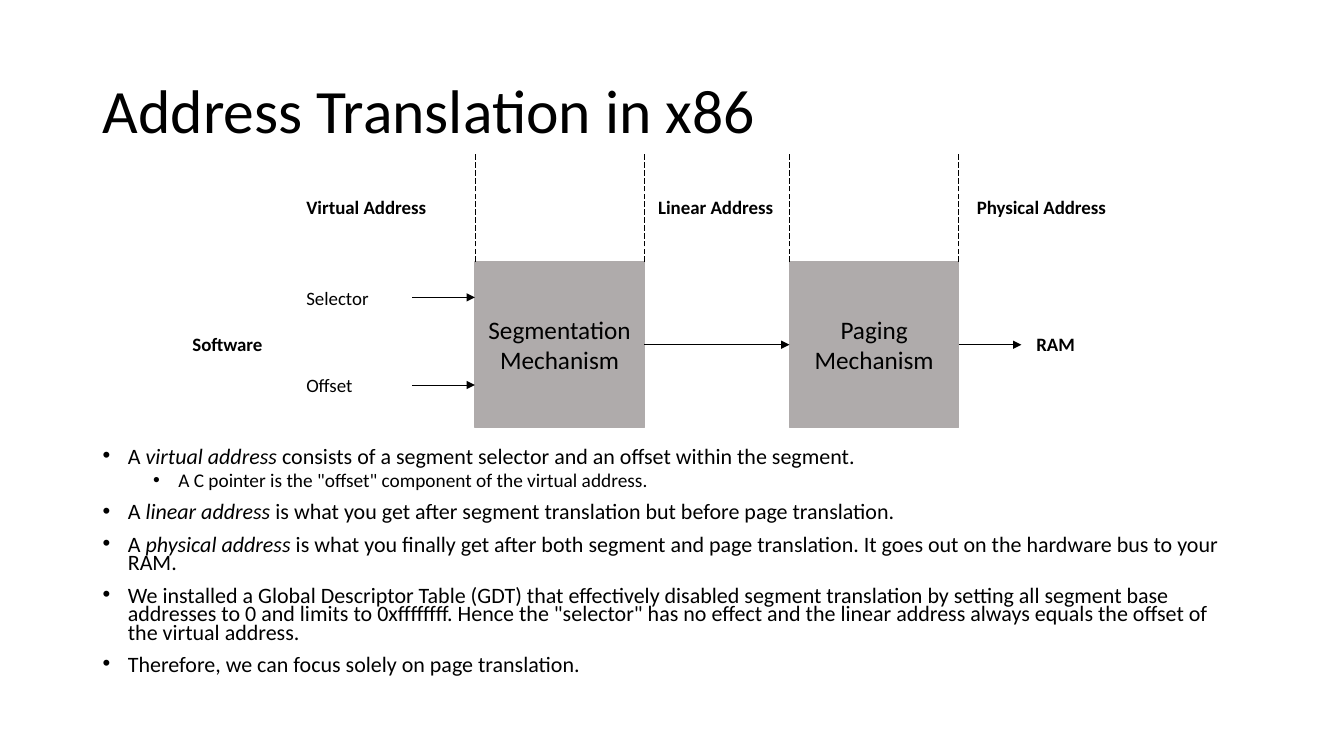
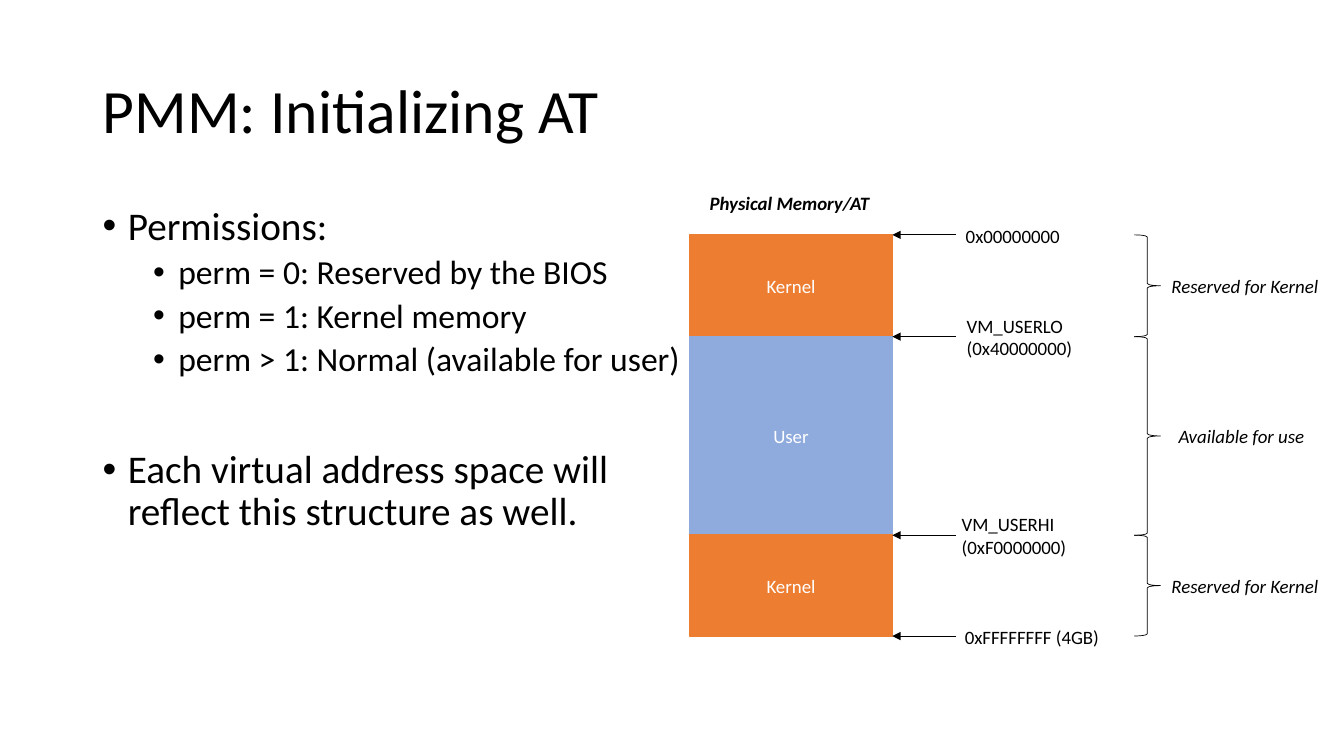
from pptx import Presentation
from pptx.dml.color import RGBColor
from pptx.enum.dml import MSO_LINE as Dash
from pptx.enum.shapes import MSO_CONNECTOR as Link, MSO_SHAPE as Preset
from pptx.enum.text import MSO_ANCHOR as Anchor, MSO_AUTO_SIZE as Fit, PP_ALIGN as Align
from pptx.oxml.ns import qn
from pptx.util import Inches, Pt
from lxml.etree import SubElement

FONT = "Calibri"
BLACK, WHITE = "000000", "FFFFFF"
GRAY, ORANGE, BLUE = "AFABAB", "ED7D31", "8FAADC"
LABEL_SIZE = 13.5
LINE_WIDTH = 0.5


def color(code):
    """Turn a hex string into a colour."""
    return RGBColor.from_string(code)


def inches(*lengths):
    """Convert several lengths to inches."""
    return [Inches(length) for length in lengths]


class Deck:
    """Holds the presentation, its style and the current slide."""

    def __init__(self):
        """Start a widescreen presentation."""
        self.prs = Presentation()
        self.prs.slide_width, self.prs.slide_height = inches(13.33, 7.5)
        self.slide = None

    def run(self, paragraph, text, size, ink=BLACK, bold=False, italic=False):
        """Add one formatted run."""
        run = paragraph.add_run()
        run.text = text
        font = run.font
        font.name, font.size, font.bold, font.italic = FONT, Pt(size), bold, italic
        font.color.rgb = color(ink)

    def new_slide(self, title):
        """Add a title-only slide and format its title."""
        self.slide = self.prs.slides.add_slide(self.prs.slide_layouts[5])
        heading = self.slide.shapes.title
        heading.left, heading.top, heading.width, heading.height = inches(0.92, 0.4, 11.5, 1.45)
        frame = heading.text_frame
        frame.word_wrap, frame.auto_size = True, Fit.NONE
        frame.vertical_anchor = Anchor.MIDDLE
        paragraph = frame.paragraphs[0]
        paragraph.alignment, paragraph.line_spacing = Align.LEFT, 0.9
        self.run(paragraph, title, 44)

    def label(self, text, left, top, width, height=0.33, wrap=True, **style):
        """Add a small text label."""
        box = self.slide.shapes.add_textbox(*inches(left, top, width, height))
        box.text_frame.word_wrap = wrap
        self.run(box.text_frame.paragraphs[0], text, LABEL_SIZE, **style)

    def block(self, lines, left, top, width, height, fill, size, ink):
        """Add a filled rectangle with centred lines of text."""
        block = self.slide.shapes.add_shape(Preset.RECTANGLE, *inches(left, top, width, height))
        block.shadow.inherit = False
        block.fill.solid()
        block.fill.fore_color.rgb = block.line.color.rgb = color(fill)
        block.line.width = Pt(1)
        frame = block.text_frame
        frame.word_wrap, frame.vertical_anchor = True, Anchor.MIDDLE
        for index, text in enumerate(lines):
            paragraph = frame.add_paragraph() if index else frame.paragraphs[0]
            paragraph.alignment = Align.CENTER
            self.run(paragraph, text, size, ink)

    def brace(self, left, top, width, height):
        """Add a right brace."""
        brace = self.slide.shapes.add_shape(Preset.RIGHT_BRACE, *inches(left, top, width, height))
        brace.shadow.inherit = False
        brace.fill.background()
        brace.line.color.rgb, brace.line.width = color(BLACK), Pt(LINE_WIDTH)

    def connect(self, x1, y1, x2, y2, dashed=False):
        """Add a dashed line, or a solid arrow."""
        link = self.slide.shapes.add_connector(Link.STRAIGHT, *inches(x1, y1, x2, y2))
        link.line.color.rgb, link.line.width = color(BLACK), Pt(LINE_WIDTH)
        if dashed:
            link.line.dash_style = Dash.LONG_DASH
        else:
            SubElement(link.line._get_or_add_ln(), qn("a:tailEnd"), type="triangle")
        SubElement(link._element.spPr, qn("a:effectLst"))

    def bullets(self, items, top, height, sizes, spacing):
        """Add bullets: (level, parts, extra space); *part* is italic, a newline breaks."""
        box = self.slide.shapes.add_textbox(*inches(0.92, top, 11.5, height))
        frame = box.text_frame
        frame.word_wrap = True
        for index, (level, text, extra) in enumerate(items):
            paragraph = frame.add_paragraph() if index else frame.paragraphs[0]
            paragraph.level, paragraph.line_spacing = level, spacing
            paragraph.space_before = Pt((5 if level else 10) + extra)
            props = paragraph._p.get_or_add_pPr()
            props.set("marL", str(Inches(0.25 + 0.5 * level)))
            props.set("indent", str(Inches(-0.25)))
            SubElement(props, qn("a:buFont"), typeface="Arial")
            SubElement(props, qn("a:buChar"), char="•")
            for row, line in enumerate(text.split("\n")):
                if row:
                    paragraph.add_line_break()
                for part, words in enumerate(line.split("*")):
                    self.run(paragraph, words, sizes[level], italic=part % 2 == 1)


def translation_slide(deck):
    """Show the path from virtual to physical address."""
    deck.new_slide("Address Translation in x86")
    top, width, height, middle = 2.6, 1.68, 1.64, 3.42
    segmentation, paging = 4.71, 7.83
    for name, left in (("Segmentation", segmentation), ("Paging", paging)):
        deck.block([name, "Mechanism"], left, top, width, height, GRAY, 18, BLACK)
        for edge in (left, left + width):
            deck.connect(edge, top, edge, 1.51, dashed=True)
    for x1, x2, y in ((4.09, segmentation, 2.95), (4.09, segmentation, 3.82),
                      (segmentation + width, paging, middle),
                      (paging + width, 10.13, middle)):
        deck.connect(x1, y, x2, y)
    for text, left, y, label_width, bold in (
            ("Virtual Address", 2.94, 1.89, 1.4, True),
            ("Linear Address", 6.43, 1.89, 1.36, True),
            ("Physical Address", 9.59, 1.89, 1.5, True),
            ("Selector", 2.94, 2.79, 0.83, False),
            ("Offset", 2.94, 3.66, 0.67, False),
            ("Software", 1.81, 3.25, 0.91, True),
            ("RAM", 10.18, 3.25, 0.59, True)):
        deck.label(text, left, y, label_width, wrap=False, bold=bold)
    deck.bullets([
        (0, "A\u00a0*virtual address*\u00a0consists of a segment selector and an offset "
            "within the segment.", 0),
        (1, 'A C pointer is the "offset" component of the virtual address.', 0),
        (0, "A\u00a0*linear address*\u00a0is what you get after segment translation but "
            "before page translation.", 0),
        (0, "A\u00a0*physical address*\u00a0is what you finally get after both segment and "
            "page translation. It goes out on the hardware bus to your RAM.", 0),
        (0, "We installed a Global Descriptor Table (GDT) that effectively disabled segment "
            "translation by setting all segment base addresses to 0 and limits to\u00a0"
            '0xffffffff. Hence the "selector" has no effect and the linear address always '
            "equals the offset of the virtual address.", 0),
        (0, "Therefore, we can focus solely on page translation.", 0),
    ], 4.41, 2.35, (15.7, 13.8), 0.7)


def permissions_slide(deck):
    """Show the permissions and the physical memory map."""
    deck.new_slide("PMM: Initializing AT")
    deck.bullets([
        (0, "Permissions:", 0),
        (1, "perm = 0: Reserved by the BIOS", 0),
        (1, "perm = 1: Kernel memory", 0),
        (1, "perm > 1: Normal (available for user)", 0),
        (0, "Each virtual address space will\nreflect this structure as well.", 40.8),
    ], 2, 4.76, (28, 24), 0.9)

    deck.label("Physical Memory/AT", 6.94, 1.85, 1.8, bold=True, italic=True)
    left, width = 6.84, 2.01
    edges = (2.33, 3.34, 5.31, 6.31)
    kernel = ("Kernel", ORANGE, "Reserved for Kernel", 11.52)
    user = ("User", BLUE, "Available for use", 11.59)
    for top, bottom, region in zip(edges, edges[1:], (kernel, user, kernel)):
        owner, fill, purpose, purpose_left = region
        deck.block([owner], left, top, width, bottom - top, fill, LABEL_SIZE, WHITE)
        deck.brace(11.25, top, 0.26, bottom - top)
        deck.label(purpose, purpose_left, (top + bottom) / 2 - 0.16, 1.72, italic=True)

    addresses = (("0x00000000", 9.48, 1.15, 0.33), ("VM_USERLO (0x40000000)", 9.49, 1.86, 0.56),
                 ("VM_USERHI (0xF0000000)", 9.44, 1.86, 0.56), ("0xFFFFFFFF (4GB)", 9.47, 1.75, 0.33))
    for edge, (address, x, label_width, height) in zip(edges, addresses):
        deck.connect(9.48, edge, left + width, edge)
        deck.label(address, x, edge - height / 2 + 0.01, label_width, height)


deck = Deck()
translation_slide(deck)
permissions_slide(deck)
deck.prs.save("out.pptx")
